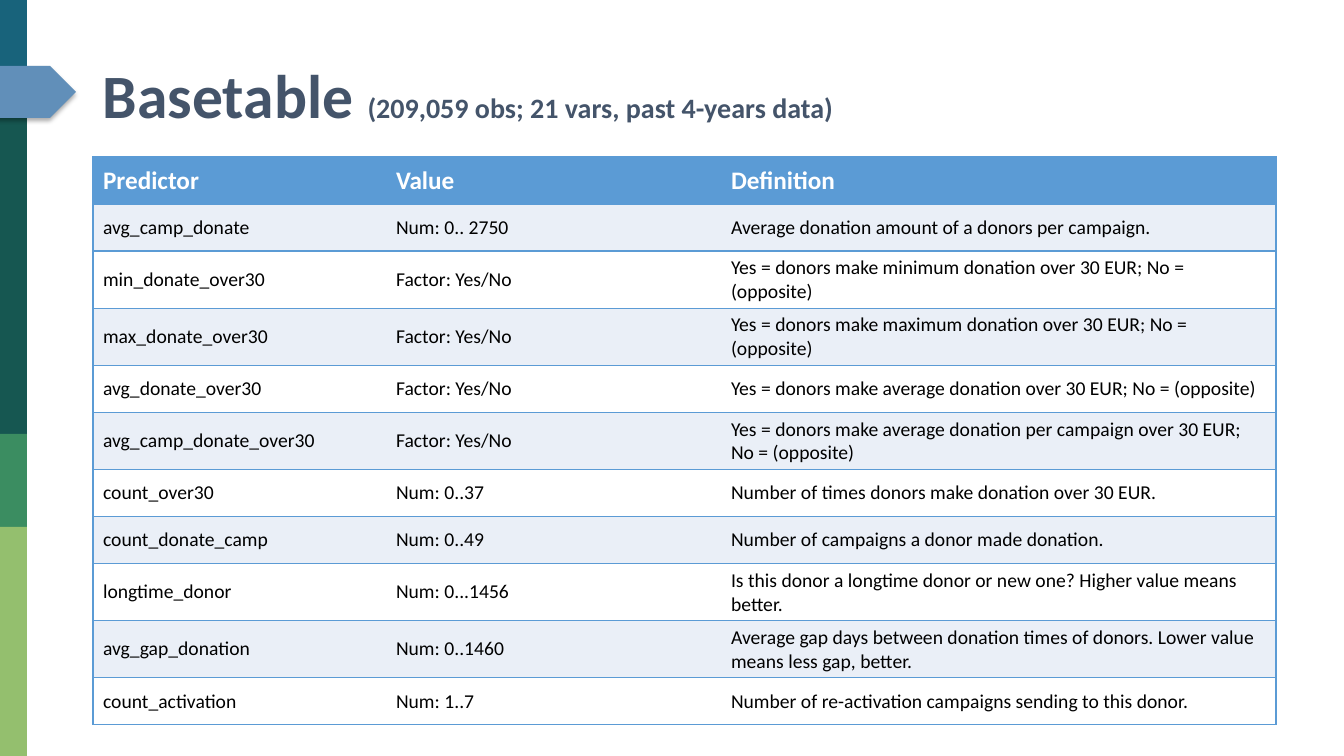
from lxml import etree
from pptx import Presentation
from pptx.dml.color import RGBColor
from pptx.enum.shapes import MSO_SHAPE
from pptx.enum.text import MSO_ANCHOR
from pptx.oxml import parse_xml
from pptx.oxml.ns import nsdecls, qn
from pptx.util import Emu, Pt

RECTANGLE, PENTAGON = MSO_SHAPE.RECTANGLE, MSO_SHAPE.PENTAGON
MIDDLE = MSO_ANCHOR.MIDDLE

WHITE = RGBColor(0xFF, 0xFF, 0xFF)
BLACK = RGBColor(0x00, 0x00, 0x00)
TITLE_COLOR = RGBColor(0x44, 0x54, 0x6A)
TABLE_BLUE = RGBColor(0x5B, 0x9B, 0xD5)
BAND = RGBColor(0xEA, 0xEF, 0xF7)
ARROW_BLUE = RGBColor(0x61, 0x8F, 0xB9)
TEAL = RGBColor(0x18, 0x63, 0x7B)
DARK_GREEN = RGBColor(0x16, 0x57, 0x51)
GREEN = RGBColor(0x3B, 0x8D, 0x61)
LIGHT_GREEN = RGBColor(0x94, 0xBF, 0x6E)

FONT = "Calibri"
ROW_HEIGHT = 47
COLUMN_WIDTHS = (293, 335, 555)
# Top edge and colour of each sidebar block
SIDEBAR_BLOCKS = ((0, TEAL), (118, DARK_GREEN), (434, GREEN), (527, LIGHT_GREEN))
ROWS = (
    ("Predictor", "Value", "Definition"),
    ("avg_camp_donate", "Num: 0.. 2750", "Average donation amount of a donors per campaign."),
    ("min_donate_over30", "Factor: Yes/No",
     "Yes = donors make minimum donation over 30 EUR; No = (opposite)"),
    ("max_donate_over30", "Factor: Yes/No",
     "Yes = donors make maximum donation over 30 EUR; No = (opposite)"),
    ("avg_donate_over30", "Factor: Yes/No",
     "Yes = donors make average donation over 30 EUR; No = (opposite)"),
    ("avg_camp_donate_over30", "Factor: Yes/No",
     "Yes = donors make average donation per campaign over 30 EUR; No = (opposite)"),
    ("count_over30", "Num: 0..37", "Number of times donors make donation over 30 EUR."),
    ("count_donate_camp", "Num: 0..49", "Number of campaigns a donor made donation."),
    ("longtime_donor", "Num: 0...1456",
     "Is this donor a longtime donor or new one? Higher value means better."),
    ("avg_gap_donation", "Num: 0..1460",
     "Average gap days between donation times of donors. Lower value means less gap, better."),
    ("count_activation", "Num: 1..7", "Number of re-activation campaigns sending to this donor."),
)


def px(length):
    return Emu(round(length * 914400 / 100.8))


def add_block(slide, kind, left, top, width, height, color):
    shape = slide.shapes.add_shape(kind, px(left), px(top), px(width), px(height))
    shape.shadow.inherit = False
    shape.fill.solid()
    shape.fill.fore_color.rgb = color
    shape.line.fill.background()
    return shape


def add_sidebar(slide, left, top, width, height):
    # Stacked blocks, the first one ending where the arrow begins
    arrow_top, arrow_height = 66, 52
    bottoms = [arrow_top] + [start for start, _ in SIDEBAR_BLOCKS[2:]] + [height]
    for (start, color), bottom in zip(SIDEBAR_BLOCKS, bottoms):
        add_block(slide, RECTANGLE, left, top + start, width, bottom - start, color)

    # Arrow with a soft shadow
    arrow = add_block(slide, PENTAGON, left - 66, top + arrow_top, 142, arrow_height, ARROW_BLUE)
    effects = arrow.element.spPr.find(qn("a:effectLst"))
    effects.append(parse_xml(
        f'<a:outerShdw {nsdecls("a")} blurRad="{Pt(3.5)}" dist="{Pt(2.2)}" dir="5400000" '
        'algn="t" rotWithShape="0"><a:srgbClr val="000000"><a:alpha val="32000"/>'
        '</a:srgbClr></a:outerShdw>'))


def add_title(slide, left, top, width, height):
    frame = slide.shapes.add_textbox(px(left), px(top), px(width), px(height)).text_frame
    frame.word_wrap = True
    frame.vertical_anchor = MIDDLE
    paragraph = frame.paragraphs[0]
    paragraph.line_spacing = 0.9
    paragraph.font.name = FONT
    paragraph.font.bold = True
    paragraph.font.color.rgb = TITLE_COLOR
    for text, size in (("Basetable ", 44), ("(209,059 obs; 21 vars, past 4-years data)", 20)):
        run = paragraph.add_run()
        run.text = text
        run.font.size = Pt(size)


def set_borders(cell, visible_sides):
    properties = cell._tc.get_or_add_tcPr()
    for index, side in enumerate(("L", "R", "T", "B")):
        line = etree.Element(qn(f"a:ln{side}"), w=str(Pt(1)))
        if side in visible_sides:
            fill = etree.SubElement(line, qn("a:solidFill"))
            etree.SubElement(fill, qn("a:srgbClr"), val=str(TABLE_BLUE))
        else:
            etree.SubElement(line, qn("a:noFill"))
        properties.insert(index, line)


def add_predictor_table(slide, left, top):
    table = slide.shapes.add_table(
        len(ROWS), len(COLUMN_WIDTHS), px(left), px(top),
        px(sum(COLUMN_WIDTHS)), px(ROW_HEIGHT * len(ROWS))).table
    for column, width in zip(table.columns, COLUMN_WIDTHS):
        column.width = px(width)
    outer_sides = ("LTB", "TB", "RTB")
    for row_index, texts in enumerate(ROWS):
        table.rows[row_index].height = px(ROW_HEIGHT)
        is_header = row_index == 0
        fill = TABLE_BLUE if is_header else BAND if row_index % 2 else WHITE
        for column_index, text in enumerate(texts):
            cell = table.cell(row_index, column_index)
            cell.text = text
            cell.vertical_anchor = MIDDLE
            cell.fill.solid()
            cell.fill.fore_color.rgb = fill
            set_borders(cell, outer_sides[column_index])
            font = cell.text_frame.paragraphs[0].font
            font.name = FONT
            font.size = Pt(18 if is_header else 14)
            font.bold = is_header
            font.color.rgb = WHITE if is_header else BLACK


def main():
    presentation = Presentation()
    presentation.slide_width, presentation.slide_height = px(1344), px(756)
    slide = presentation.slides.add_slide(presentation.slide_layouts[6])
    add_sidebar(slide, 0, 0, 27, 756)
    add_title(slide, 93, 40, 1159, 117)
    add_predictor_table(slide, 93, 157)
    presentation.save("out.pptx")


if __name__ == "__main__":
    main()
